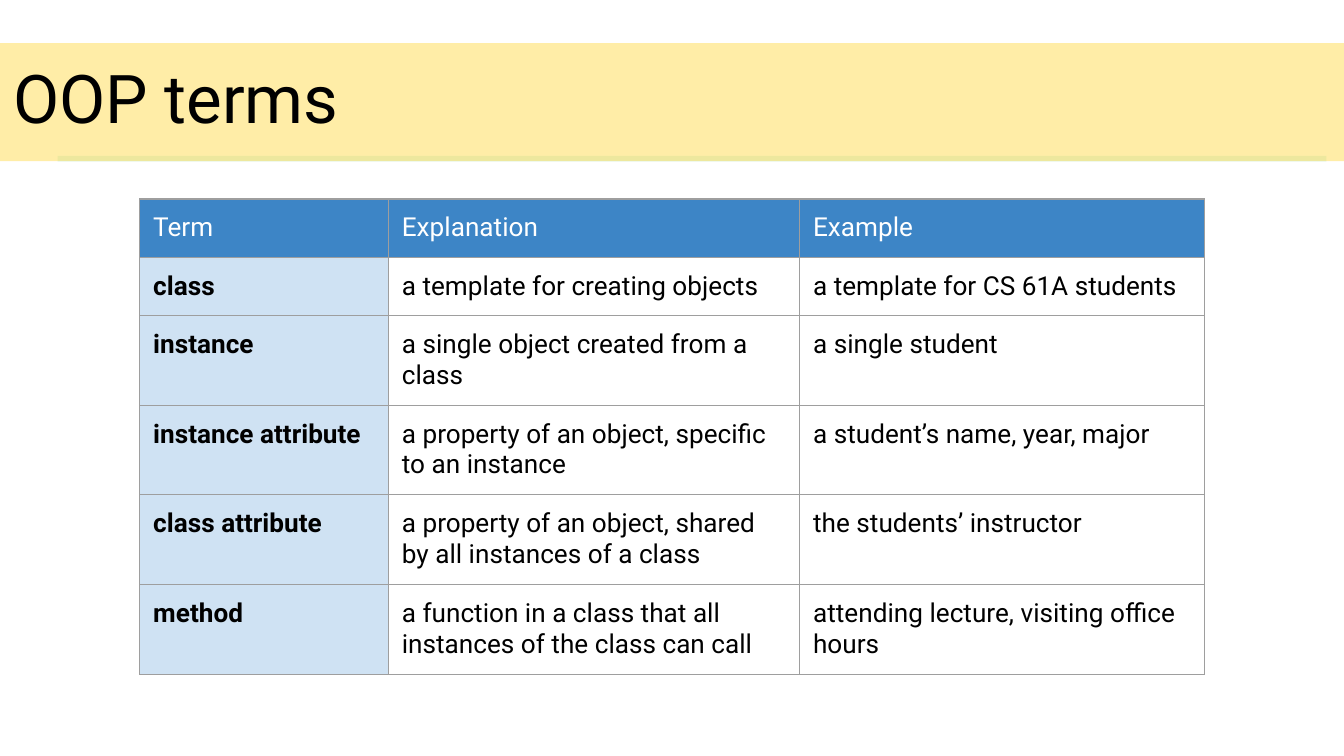
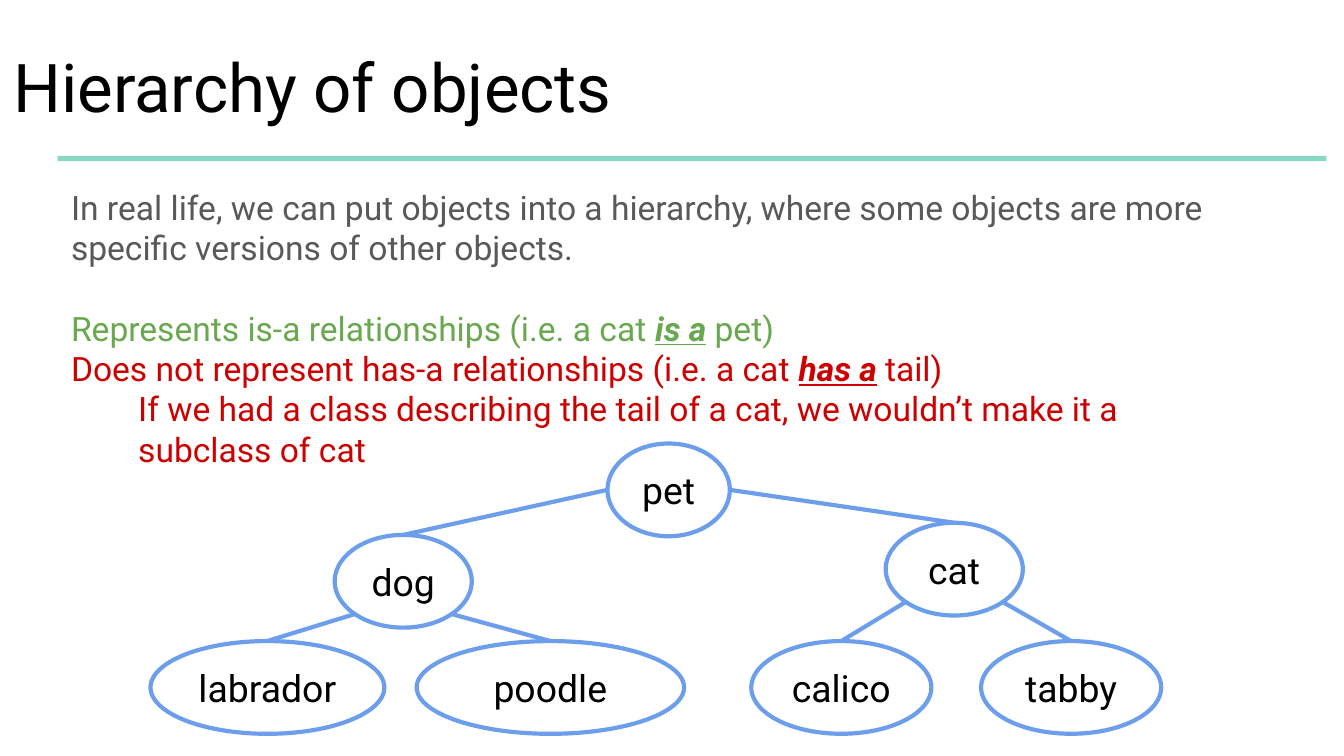
from collections import namedtuple
from dataclasses import dataclass
from math import cos, radians, sin

from lxml.etree import SubElement
from pptx import Presentation
from pptx.dml.color import RGBColor
from pptx.enum.shapes import MSO_CONNECTOR as Connector, MSO_SHAPE as Shape
from pptx.enum.text import MSO_ANCHOR as Anchor, PP_ALIGN as Align
from pptx.oxml.ns import qn
from pptx.util import Inches, Pt


@dataclass(frozen=True)
class Theme:
    font: str = "Roboto"
    black: str = "000000"
    white: str = "FFFFFF"
    rule: str = "86D9C0"
    band: str = "FFEB99"
    band_opacity: int = 86
    header: str = "3D85C6"
    term: str = "CFE2F3"
    grid: str = "9E9E9E"
    node: str = "6D9EEB"
    body: str = "595959"
    good: str = "6AA84F"
    bad: str = "CC0000"
    title_size: int = 36
    node_size: int = 20
    body_size: int = 18
    table_size: int = 14
    grid_width: float = 0.75
    node_width: float = 2.25
    inset: float = 0.1


THEME = Theme()
SLIDE_WIDTH = 10
SLIDE_HEIGHT = SLIDE_WIDTH * 9 / 16
Node = namedtuple("Node", "left top width")
NODE_HEIGHT = 0.69

TERMS = [
    ("Term", "Explanation", "Example"),
    ("class", "a template for creating objects", "a template for CS 61A students"),
    ("instance", "a single object created from a class", "a single student"),
    ("instance attribute", "a property of an object, specific to an instance",
     "a student’s name, year, major"),
    ("class attribute", "a property of an object, shared by all instances of a class",
     "the students’ instructor"),
    ("method", "a function in a class that all instances of the class can call",
     "attending lecture, visiting office hours"),
]
TERM_COLUMNS = (1.85, 3.06, 3.01)
TERM_ROW = 0.42

PETS = {
    "pet": Node(4.52, 3.3, 0.91),
    "dog": Node(2.49, 3.98, 1.02),
    "cat": Node(6.59, 3.89, 1.02),
    "labrador": Node(1.12, 4.77, 1.74),
    "poodle": Node(3.1, 4.77, 1.99),
    "calico": Node(5.59, 4.77, 1.34),
    "tabby": Node(7.3, 4.77, 1.34),
}
# Parent, child, and the angle at which the branch leaves the parent (clockwise from right)
BRANCHES = [
    ("pet", "dog", 180), ("dog", "labrador", 135), ("dog", "poodle", 45),
    ("cat", "calico", 135), ("cat", "tabby", 45), ("pet", "cat", 0),
]


def rgb(color):
    return RGBColor.from_string(color)


def box(left, top, width, height):
    return [Inches(value) for value in (left, top, width, height)]


def paint(target, color):
    target.fill.solid()
    target.fill.fore_color.rgb = rgb(color)


def set_insets(holder):
    """Give a text frame or a table cell the same margin on all sides."""
    holder.margin_left = holder.margin_right = Inches(THEME.inset)
    holder.margin_top = holder.margin_bottom = Inches(THEME.inset)


def add_run(paragraph, text, size, color, bold=False, italic=False, underline=False):
    run = paragraph.add_run()
    run.text = text
    font = run.font
    font.name, font.size, font.color.rgb = THEME.font, Pt(size), rgb(color)
    font.bold, font.italic, font.underline = bold, italic, underline


def add_text_area(slide, *place):
    area = slide.shapes.add_textbox(*box(*place))
    area.text_frame.word_wrap = True
    set_insets(area.text_frame)
    return area


def add_rule(slide):
    rule = slide.shapes.add_shape(Shape.RECTANGLE, *box(0.43, 1.16, 9.44, 0.04))
    rule.shadow.inherit = False
    paint(rule, THEME.rule)
    rule.line.fill.background()


def add_title(slide, text, top, height):
    title = add_text_area(slide, 0, top, SLIDE_WIDTH, height)
    add_run(title.text_frame.paragraphs[0], text, THEME.title_size, THEME.black)
    return title


def add_band(title):
    """Fill the title area with the translucent highlight."""
    paint(title, THEME.band)
    color = title.fill._xPr.find(qn("a:solidFill"))[0]
    SubElement(color, qn("a:alpha"), val=str(THEME.band_opacity * 1000))


def add_cell_borders(cell):
    properties = cell._tc.get_or_add_tcPr()
    for side in ("lnL", "lnR", "lnT", "lnB"):
        border = SubElement(properties, qn(f"a:{side}"), w=str(Pt(THEME.grid_width)))
        fill = SubElement(border, qn("a:solidFill"))
        SubElement(fill, qn("a:srgbClr"), val=THEME.grid)


def add_term_table(slide, left, top):
    place = box(left, top, sum(TERM_COLUMNS), TERM_ROW * len(TERMS))
    table = slide.shapes.add_table(len(TERMS), len(TERM_COLUMNS), *place).table
    table.horz_banding = False
    for column, width in zip(table.columns, TERM_COLUMNS):
        column.width = Inches(width)
    for row_index, row in enumerate(TERMS):
        for column_index, text in enumerate(row):
            is_header, is_term = row_index == 0, column_index == 0
            cell = table.cell(row_index, column_index)
            set_insets(cell)
            add_cell_borders(cell)
            if is_header or is_term:
                paint(cell, THEME.header if is_header else THEME.term)
            else:
                cell.fill.background()
            add_run(cell.text_frame.paragraphs[0], text, THEME.table_size,
                    THEME.white if is_header else THEME.black,
                    bold=is_term and not is_header)


def add_node(slide, text, node):
    ellipse = slide.shapes.add_shape(
        Shape.OVAL, *box(node.left, node.top, node.width, NODE_HEIGHT))
    ellipse.shadow.inherit = False
    ellipse.fill.background()
    ellipse.line.color.rgb = rgb(THEME.node)
    ellipse.line.width = Pt(THEME.node_width)
    frame = ellipse.text_frame
    set_insets(frame)
    frame.vertical_anchor = Anchor.MIDDLE
    frame.paragraphs[0].alignment = Align.CENTER
    add_run(frame.paragraphs[0], text, THEME.node_size, THEME.black)
    return ellipse


def add_branch(slide, parent, child, angle):
    """Join a point on the parent's outline to the top of the child."""
    x = parent.left + parent.width / 2 * (1 + cos(radians(angle)))
    y = parent.top + parent.height / 2 * (1 + sin(radians(angle)))
    branch = slide.shapes.add_connector(
        Connector.STRAIGHT, int(x), int(y), child.left + child.width // 2, child.top)
    branch.end_connect(child, 0)
    branch.line.color.rgb = rgb(THEME.node)
    branch.line.width = Pt(THEME.node_width)
    SubElement(branch._element.spPr, qn("a:effectLst"))


def add_hierarchy(slide):
    ellipses = {text: add_node(slide, text, node) for text, node in PETS.items()}
    for parent, child, angle in BRANCHES:
        add_branch(slide, ellipses[parent], ellipses[child], angle)


def add_relationship(paragraph, lead, verb, thing, color):
    add_run(paragraph, lead, THEME.body_size, color)
    add_run(paragraph, verb, THEME.body_size, color, bold=True, italic=True, underline=True)
    add_run(paragraph, " ", THEME.body_size, color, italic=True)
    add_run(paragraph, thing, THEME.body_size, color)


def add_explanation(slide):
    frame = add_text_area(slide, 0.43, 1.29, 8.91, 1.9).text_frame
    intro = frame.paragraphs[0]
    is_a, has_a, detail = [frame.add_paragraph() for _ in range(3)]
    add_run(intro, "In real life, we can put objects into a hierarchy, where some objects "
            "are more specific versions of other objects.", THEME.body_size, THEME.body)
    is_a.space_before = Pt(21.5)
    add_relationship(is_a, "Represents is-a relationships (i.e. a cat ",
                     "is a", "pet)", THEME.good)
    add_relationship(has_a, "Does not represent has-a relationships (i.e. a cat ",
                     "has a", "tail)", THEME.bad)
    detail._p.get_or_add_pPr().set("marL", str(Inches(0.5)))
    add_run(detail, "If we had a class describing the tail of a cat, we wouldn’t make it "
            "a subclass of cat", THEME.body_size, THEME.bad)


def add_slide(deck):
    slide = deck.slides.add_slide(deck.slide_layouts[6])
    add_rule(slide)
    return slide


def main():
    deck = Presentation()
    deck.slide_width, deck.slide_height = Inches(SLIDE_WIDTH), Inches(SLIDE_HEIGHT)

    terms = add_slide(deck)
    add_band(add_title(terms, "OOP terms", 0.32, 0.88))
    add_term_table(terms, 1.04, 1.48)

    hierarchy = add_slide(deck)
    add_title(hierarchy, "Hierarchy of objects", 0.24, 0.9)
    add_hierarchy(hierarchy)
    add_explanation(hierarchy)

    deck.save("out.pptx")


if __name__ == "__main__":
    main()
